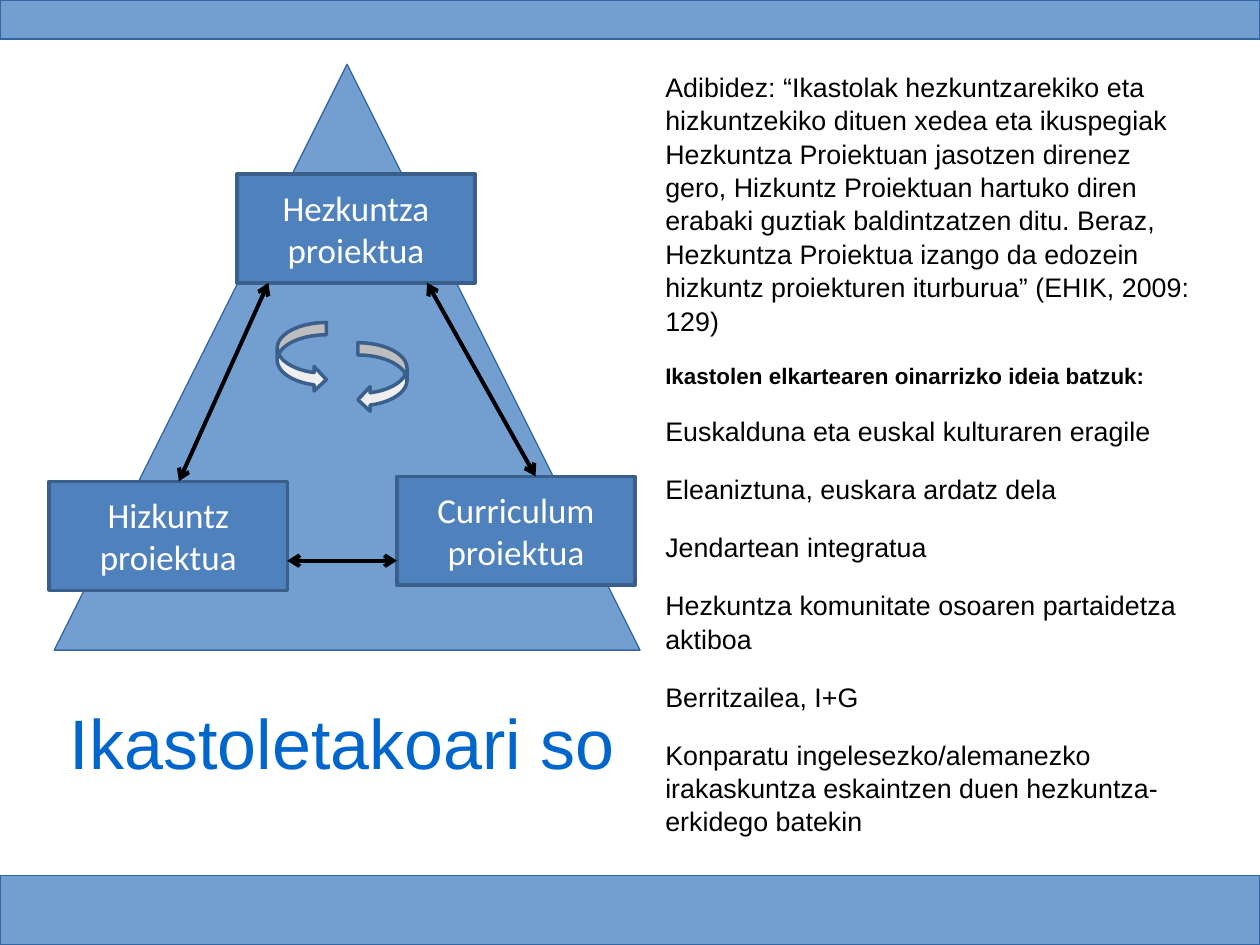
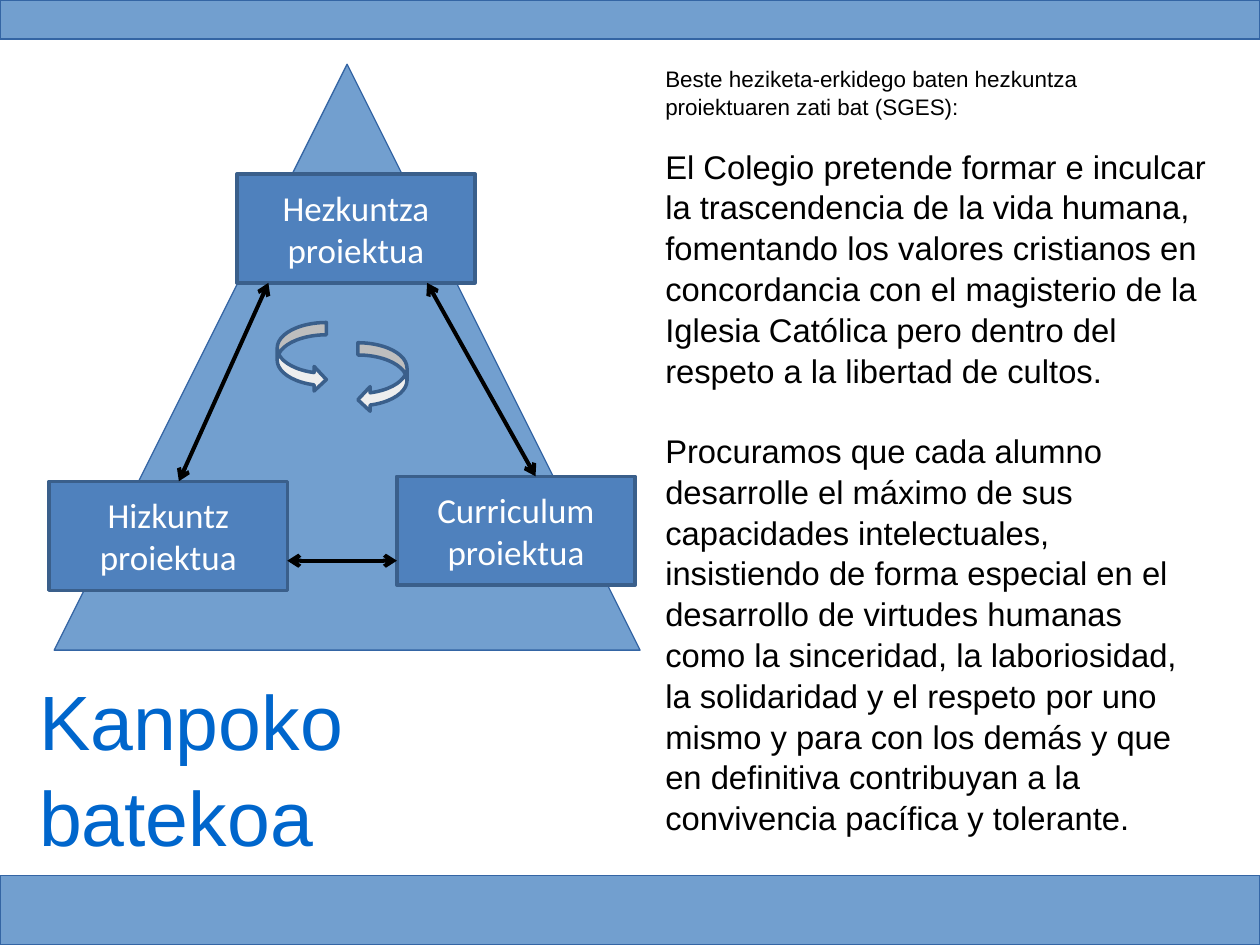
from collections import namedtuple

import pptx
import pptx.dml.color
import pptx.enum.shapes
import pptx.enum.text
import pptx.oxml.ns
import pptx.util
from lxml import etree

Pt = pptx.util.Pt
SHAPE = pptx.enum.shapes.MSO_SHAPE
ALIGN = pptx.enum.text.PP_ALIGN
ANCHOR = pptx.enum.text.MSO_ANCHOR

COLORS = {
    "band": "729FCF",
    "band_edge": "3465A4",
    "project": "4F81BD",
    "project_edge": "3A5F8B",
    "cycle": "EEEEEE",
    "title": "0066CC",
    "text": "000000",
    "on_project": "FFFFFF",
}
COLUMNS, ROWS = 100, 75
CELL = pptx.util.Inches(0.1)
LINE_SPACING = 1.04
PARAGRAPH_GAP = 14.1

# Left, top, width and height in grid columns and rows
Box = namedtuple("Box", "left top width height")
# Text, size, bold and space before, in points
Passage = namedtuple("Passage", "text size bold gap", defaults=(False, PARAGRAPH_GAP))

TOP_BAND = Box(0, 0, COLUMNS, 3.1)
BOTTOM_BAND = Box(0, 69.5, COLUMNS, 5.5)
DIAGRAM = Box(4.3, 5.1, 46.5, 46.5)

IKASTOLA_IDEAS = [
    "Euskalduna eta euskal kulturaren eragile",
    "Eleaniztuna, euskara ardatz dela",
    "Jendartean integratua",
    "Hezkuntza komunitate osoaren partaidetza aktiboa",
    "Berritzailea, I+G",
    "Konparatu ingelesezko/alemanezko irakaskuntza eskaintzen duen "
    "hezkuntza-erkidego batekin",
]
IKASTOLA_PASSAGES = [
    Passage("Adibidez: “Ikastolak hezkuntzarekiko eta hizkuntzekiko dituen xedea eta "
            "ikuspegiak Hezkuntza Proiektuan jasotzen direnez gero, Hizkuntz Proiektuan "
            "hartuko diren erabaki guztiak baldintzatzen ditu. Beraz, Hezkuntza Proiektua "
            "izango da edozein hizkuntz proiekturen iturburua” (EHIK, 2009: 129)", 15.3),
    Passage("Ikastolen elkartearen oinarrizko ideia batzuk:", 12.8, True),
    *(Passage(idea, 15.3) for idea in IKASTOLA_IDEAS),
]
COLEGIO_PASSAGES = [
    Passage("Beste heziketa-erkidego baten hezkuntza proiektuaren zati bat (SGES):", 12.8),
    Passage("El Colegio pretende formar e inculcar la trascendencia de la vida humana, "
            "fomentando los valores cristianos en concordancia con el magisterio de la "
            "Iglesia Católica pero dentro del respeto a la libertad de cultos.", 18.7),
    Passage("Procuramos que cada alumno desarrolle el máximo de sus capacidades "
            "intelectuales, insistiendo de forma especial en el desarrollo de virtudes "
            "humanas como la sinceridad, la laboriosidad, la solidaridad y el respeto por "
            "uno mismo y para con los demás y que en definitiva contribuyan a la "
            "convivencia pacífica y tolerante.", 18.7, gap=22.5),
]


def cells(*counts):
    return [round(count * CELL) for count in counts]


def color(name):
    return pptx.dml.color.RGBColor.from_string(COLORS[name])


def inside(box, left, top, width, height):
    """Box whose corner is counted from the corner of another box."""
    return Box(box.left + left, box.top + top, width, height)


def style_font(font, face, size, color_name, bold=False):
    font.name, font.size, font.bold = face, Pt(size), bold
    font.color.rgb = color(color_name)


def add_figure(slide, preset, box, fill, edge, edge_width):
    figure = slide.shapes.add_shape(preset, *cells(*box))
    figure.shadow.inherit = False
    figure.fill.solid()
    figure.fill.fore_color.rgb = color(fill)
    figure.line.color.rgb = color(edge)
    figure.line.width = Pt(edge_width)
    return figure


def move_bands_to_master(deck, slide):
    """Draw the two bands and hand them to the master, behind everything else."""
    tree = deck.slide_master.element.cSld.spTree
    for number, box in enumerate((BOTTOM_BAND, TOP_BAND)):
        band = add_figure(slide, SHAPE.RECTANGLE, box, "band", "band_edge", 0)
        band.element.nvSpPr.cNvPr.set("id", str(100 + number))
        tree.insert(2 + number, band.element)


def add_project(slide, box, label):
    project = add_figure(slide, SHAPE.RECTANGLE, box, "project", "project_edge", 2)
    frame = project.text_frame
    frame.word_wrap = True
    frame.vertical_anchor = ANCHOR.MIDDLE
    frame.text = label
    frame.paragraphs[0].alignment = ALIGN.CENTER
    style_font(frame.paragraphs[0].runs[0].font, "Calibri", 20, "on_project")


def add_double_arrow(slide, box, start, end):
    points = [box.left + start[0], box.top + start[1], box.left + end[0], box.top + end[1]]
    arrow = slide.shapes.add_connector(
        pptx.enum.shapes.MSO_CONNECTOR.STRAIGHT, *cells(*points))
    arrow.line.color.rgb = color("text")
    arrow.line.width = Pt(2.3)
    qn = pptx.oxml.ns.qn
    for tip in ("a:headEnd", "a:tailEnd"):
        etree.SubElement(arrow.line._get_or_add_ln(), qn(tip), type="arrow")
    etree.SubElement(arrow.element.spPr, qn("a:effectLst"))


def add_project_triangle(slide, box):
    add_figure(slide, SHAPE.ISOSCELES_TRIANGLE, box, "band", "band_edge", 0)
    curriculum = (27.2, 32.7)
    language = (-0.4, 33.1)
    education = (14.5, 8.7)
    width, height = 18.9, 8.65
    for corner, label in ((curriculum, "Curriculum proiektua"),
                          (language, "Hizkuntz proiektua"),
                          (education, "Hezkuntza proiektua")):
        add_project(slide, inside(box, *corner, width, height), label)

    education_foot = education[1] + height
    add_double_arrow(slide, box, (language[0] + width, 39.4), (curriculum[0], 39.4))
    add_double_arrow(slide, box, (29.6, education_foot), (38.2, curriculum[1]))
    add_double_arrow(slide, box, (17, education_foot), (9.9, language[1]))
    for preset, corner in ((SHAPE.CURVED_RIGHT_ARROW, (17.7, 20.5)),
                           (SHAPE.CURVED_LEFT_ARROW, (24.1, 22.1))):
        add_figure(slide, preset, inside(box, *corner, 3.9, 5.5),
                   "cycle", "project_edge", 2)


def place(holder, box, anchor):
    """Move a placeholder to a box and return its text frame without margins."""
    holder.left, holder.top, holder.width, holder.height = cells(*box)
    frame = holder.text_frame
    frame.margin_left = frame.margin_top = frame.margin_right = frame.margin_bottom = 0
    frame.word_wrap = True
    frame.auto_size = pptx.enum.text.MSO_AUTO_SIZE.NONE
    frame.vertical_anchor = anchor
    return frame


def fill_title(slide, box, text, size, alignment):
    frame = place(slide.shapes.title, box, ANCHOR.MIDDLE)
    frame.text = text
    heading = frame.paragraphs[0]
    heading.alignment = alignment
    heading.line_spacing = LINE_SPACING
    style_font(heading.runs[0].font, "Arial", size, "title")


def fill_body(slide, box, passages):
    frame = place(slide.placeholders[1], box, ANCHOR.TOP)
    frame.text = "\n".join(passage.text for passage in passages)
    for position, (paragraph, passage) in enumerate(zip(frame.paragraphs, passages)):
        properties = paragraph._p.get_or_add_pPr()
        properties.set("marL", "0")
        properties.set("indent", "0")
        etree.SubElement(properties, pptx.oxml.ns.qn("a:buNone"))
        paragraph.alignment = ALIGN.LEFT
        paragraph.line_spacing = LINE_SPACING
        paragraph.space_before = Pt(passage.gap if position else 0)
        style_font(paragraph.runs[0].font, "Arial", passage.size, "text", passage.bold)


def add_project_slide(deck):
    """Slide with the triangle on the left, title and body still to be filled."""
    slide = deck.slides.add_slide(deck.slide_layouts[1])
    add_project_triangle(slide, DIAGRAM)
    return slide


def main():
    deck = pptx.Presentation()
    deck.slide_width, deck.slide_height = cells(COLUMNS, ROWS)

    ikastola = add_project_slide(deck)
    move_bands_to_master(deck, ikastola)
    fill_title(ikastola, Box(4.7, 49.7, 44.9, 18), "Ikastoletakoari so", 40, ALIGN.CENTER)
    fill_body(ikastola, Box(52.8, 5.5, 42.2, 61.5), IKASTOLA_PASSAGES)

    colegio = add_project_slide(deck)
    fill_title(colegio, Box(3.1, 52.4, 47.2, 16.7), "Kanpoko batekoa", 44, ALIGN.LEFT)
    fill_body(colegio, Box(52.8, 5.1, 43.1, 62.3), COLEGIO_PASSAGES)

    deck.save("out.pptx")


if __name__ == "__main__":
    main()
